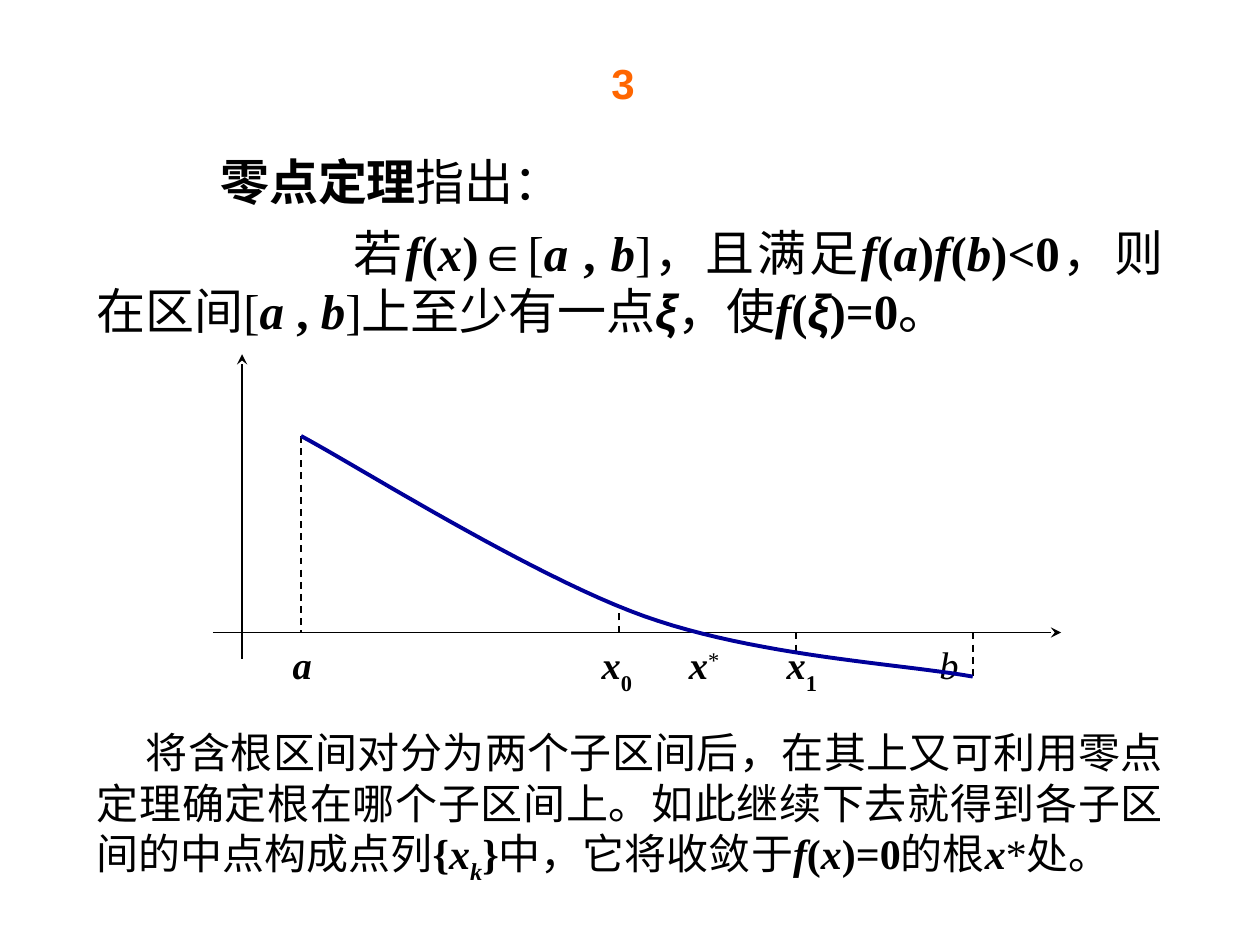
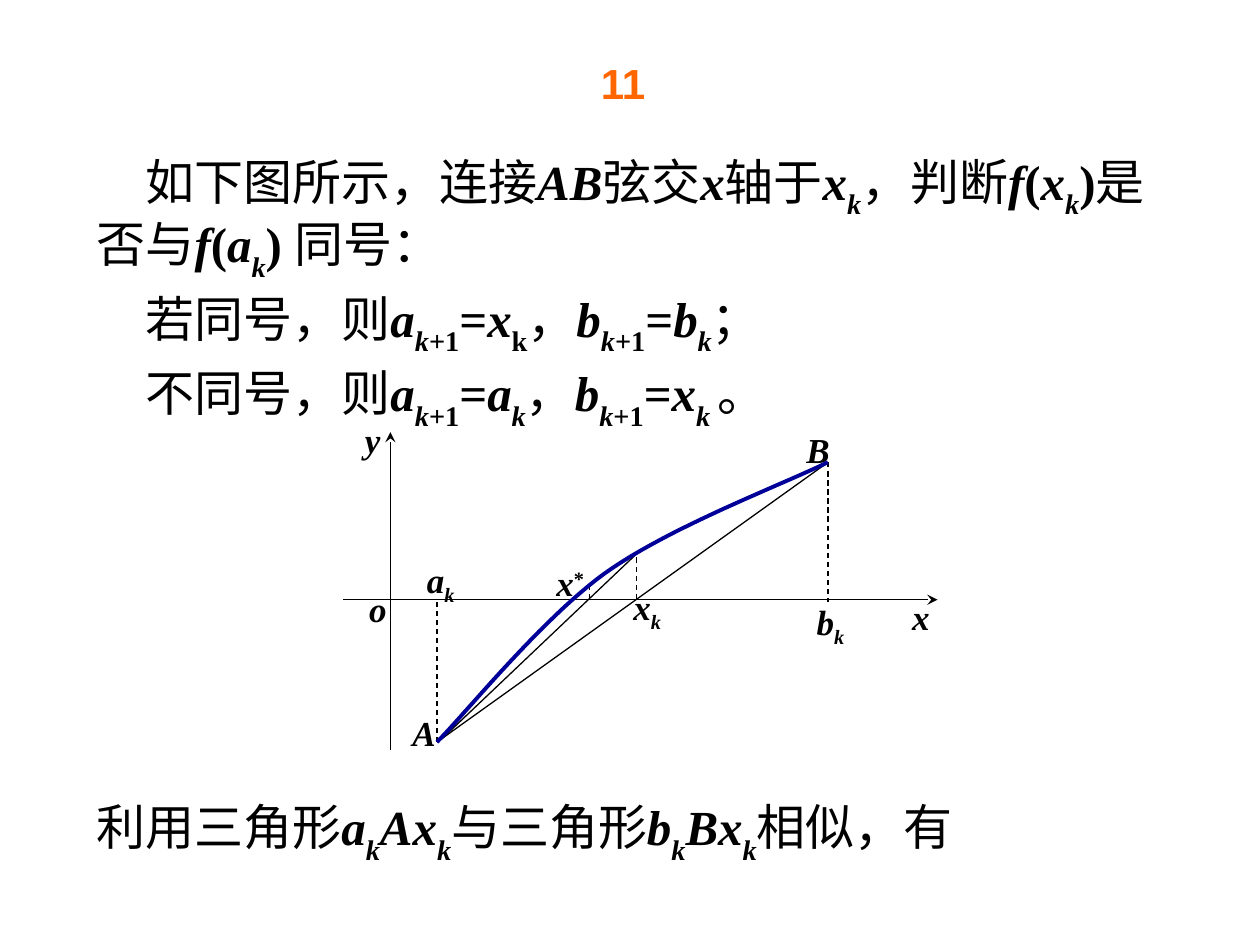
"""Build two slides on root finding: the bisection theorem and the chord method."""
from lxml.etree import SubElement
from pptx import Presentation
from pptx.dml.color import RGBColor
from pptx.enum.dml import MSO_LINE
from pptx.enum.shapes import MSO_CONNECTOR
from pptx.enum.text import PP_ALIGN
from pptx.oxml.ns import qn
from pptx.util import Cm, Pt

BLACK, ORANGE, NAVY = "000000", "FF6600", "000099"
BASELINES = {"_": "-30000", "-": "-25000", "^": "30000"}
CURVE_STEPS = 24


def add_text(slide, box, paragraphs, size, alignment=PP_ALIGN.LEFT, before=0,
             spacing=None, color=BLACK):
    """Add (indent, runs) paragraphs; run marks: b bold, i italic, A Arial, _ - ^ shifted."""
    frame = slide.shapes.add_textbox(*[Cm(value) for value in box]).text_frame
    frame.word_wrap = True
    for index, (indent, runs) in enumerate(paragraphs):
        paragraph = frame.add_paragraph() if index else frame.paragraphs[0]
        paragraph.alignment = alignment
        paragraph.space_before = Pt(before)
        paragraph.line_spacing = spacing
        paragraph._p.get_or_add_pPr().set("indent", str(Cm(indent)))
        for text, marks in runs:
            run = paragraph.add_run()
            run.text = text
            run.font.size = Pt(size)
            run.font.name = "Arial" if "A" in marks else "Times New Roman"
            run.font.bold = "b" in marks
            run.font.italic = "i" in marks
            run.font.color.rgb = RGBColor.from_string(color)
            for mark in set(marks) & set(BASELINES):
                run.font._element.set("baseline", BASELINES[mark])


def add_line(slide, ends, width, kind="solid"):
    """Add a straight black line that is solid, dashed or an arrow."""
    line = slide.shapes.add_connector(MSO_CONNECTOR.STRAIGHT, *[Cm(value) for value in ends])
    line.line.color.rgb = RGBColor.from_string(BLACK)
    line.line.width = Pt(width)
    if kind == "dash":
        line.line.dash_style = MSO_LINE.DASH
    if kind == "arrow":
        SubElement(line.line._get_or_add_ln(), qn("a:tailEnd"), type="stealth")
    SubElement(line._element.spPr, qn("a:effectLst"))


presentation = Presentation()
presentation.slide_width, presentation.slide_height = Cm(25.4), Cm(19.05)
theorem_slide, chord_slide = [
    presentation.slides.add_slide(presentation.slide_layouts[6]) for _ in range(2)]

for slide, number in ((theorem_slide, "3"), (chord_slide, "11")):
    add_text(slide, (11.66, 1.04, 1.8, 1.32), [(0, [(number, "bA")])], 24,
             PP_ALIGN.CENTER, color=ORANGE)

theorem = [
    (2.49, [("零点定理", "b"), ("指出：", "")]),
    (5.18, [("若", ""), ("f", "bi"), ("(", "b"), ("x", "bi"), (")", "b"), ("∈", "A"),
            ("[", ""), ("a ", "bi"), (", ", "b"), ("b", "bi"), ("]，且满足", ""),
            ("f", "bi"), ("(", "b"), ("a", "bi"), (")", "b"), ("f", "bi"), ("(", "b"),
            ("b", "bi"), (")<0", "b"), ("，则在区间[", ""), ("a ", "bi"), (", ", "b"),
            ("b", "bi"), ("]上至少有一点", ""), ("ξ", "biA"), ("，使", ""), ("f", "bi"),
            ("(", "b"), ("ξ", "biA"), (")=0", "b"), ("。", "")]),
]
add_text(theorem_slide, (1.7, 2.92, 22, 4.19), theorem, 28, PP_ALIGN.JUSTIFY, 7)

for ends, kind in (
        ((4.29, 12.75, 21.39, 12.75), "arrow"),
        ((4.88, 13.28, 4.88, 7.14), "arrow"),
        ((6.07, 8.79, 6.07, 12.75), "dash"),
        ((19.61, 12.75, 19.61, 13.64), "dash"),
        ((12.48, 12.75, 12.48, 12.19), "dash"),
        ((16.05, 12.75, 16.05, 13.18), "dash")):
    add_line(theorem_slide, ends, 1, kind)

for left, runs in (
        (5.65, [("a", "bi")]),
        (11.88, [("x", "bi"), ("0", "b_")]),
        (13.64, [("x", "bi"), ("*", "^")]),
        (15.61, [("x", "bi"), ("1", "b_")]),
        (18.69, [("b", "i")])):
    add_text(theorem_slide, (left, 12.8, 1.6, 1.2), [(0, runs)], 22)

bisection = [
    (0.99, [("将含根区间对分为两个子区间后，在其上又可利用零点定理确定根在哪个子区间上。"
             "如此继续下去就得到各子区间的中点构成点列", ""), ("{", "b"), ("x", "bi"),
            ("k", "bi-"), ("}", "b"), ("中，它将收敛于", ""), ("f", "bi"), ("(", "b"),
            ("x", "bi"), (")=0", "b"), ("的根", ""), ("x", "bi"), ("*处。", "")]),
]
add_text(theorem_slide, (1.7, 14.53, 22, 3.4), bisection, 24, PP_ALIGN.JUSTIFY, 15)

chord_rule = [
    (0.99, [("如下图所示，连接", ""), ("AB", "bi"), ("弦交", ""), ("x", "bi"), ("轴于", ""),
            ("x", "bi"), ("k", "bi_"), ("，判断", ""), ("f", "bi"), ("(", "b"), ("x", "bi"),
            ("k", "bi_"), (")", "b"), ("是否与", ""), ("f", "bi"), ("(", "b"), ("a", "bi"),
            ("k", "bi_"), (") ", "b"), ("同号：", "")]),
    (0.99, [("若同号，则", ""), ("a", "bi"), ("k", "bi_"), ("+1", "b_"), ("=", "b"),
            ("x", "bi"), ("k", "b_"), ("，", ""), ("b", "bi"), ("k", "bi_"), ("+1", "b_"),
            ("=", "b"), ("b", "bi"), ("k", "bi_"), ("；", "")]),
    (0.99, [("不同号，则", ""), ("a", "bi"), ("k", "bi_"), ("+1", "b_"), ("=", "b"),
            ("a", "bi"), ("k", "bi_"), ("，", ""), ("b", "bi"), ("k", "bi_"), ("+1", "b_"),
            ("=", "b"), ("x", "bi"), ("k ", "bi_"), ("。", "")]),
]
add_text(chord_slide, (1.7, 2.92, 22, 5.21), chord_rule, 28, before=7, spacing=0.9)

for box, runs in (
        ((7.11, 11.71, 1.02, 0.89), [("o", "bi")]),
        ((15.98, 11.99, 1.52, 1.12), [("b", "bi"), ("k", "bi-")]),
        ((8.1, 11.13, 1.57, 1.19), [("a", "bi"), ("k", "bi-")]),
        ((12.29, 11.68, 1.52, 1.02), [("x", "bi"), ("k", "bi-")]),
        ((10.9, 11.2, 1.19, 1.09), [("x", "bi"), ("*", "b^")]),
        ((7.9, 14.22, 1.3, 0.89), [("A", "bi")]),
        ((15.88, 8.51, 1.22, 0.89), [("B", "bi")]),
        ((6.93, 8.31, 1.17, 1.19), [("y", "bi")]),
        ((18.03, 11.89, 1.07, 1.22), [("x", "bi")])):
    add_text(chord_slide, box, [(0, runs)], 20, PP_ALIGN.CENTER)

for ends, kind in (
        ((6.91, 12.09, 18.9, 12.09), "arrow"),
        ((7.87, 15.11, 7.87, 8.71), "arrow"),
        ((8.81, 14.96, 16.69, 9.32), "solid"),
        ((12.9, 11.1, 8.89, 14.91), "solid"),
        ((8.81, 14.96, 8.81, 12.14), "dash"),
        ((16.69, 9.32, 16.69, 12.14), "dash"),
        ((12.83, 12.07, 12.83, 11.15), "dash"),
        ((11.89, 12.07, 11.89, 11.81), "dash")):
    add_line(chord_slide, ends, 0.75, kind)

similarity = [
    (0, [("利用三角形", ""), ("a", "bi"), ("k", "bi_"), ("Ax", "bi"), ("k", "bi_"),
         ("与三角形", ""), ("b", "bi"), ("k", "bi_"), ("Bx", "bi"), ("k", "bi_"),
         ("相似，有", "")]),
]
add_text(chord_slide, (1.7, 15.93, 22, 1.4), similarity, 28, before=7)

falling_curve = [(6.07, 8.79), (7.21, 9.4), (10.72, 11.61), (12.98, 12.42),
                 (15.24, 13.23), (18.21, 13.39), (19.61, 13.64)]
rising_curve = [(8.81, 14.96), (9.37, 14.4), (10.9, 12.5), (12.19, 11.56),
                (13.51, 10.62), (15.75, 9.78), (16.69, 9.32)]
for slide, controls in ((theorem_slide, falling_curve), (chord_slide, rising_curve)):
    points = []
    for first in (0, 3):
        for step in range(1, CURVE_STEPS + 1):
            t = step / CURVE_STEPS
            weights = ((1 - t) ** 3, 3 * t * (1 - t) ** 2, 3 * t ** 2 * (1 - t), t ** 3)
            segment = controls[first:first + 4]
            points.append(tuple(
                Cm(sum(weight * point[axis] for weight, point in zip(weights, segment)))
                for axis in (0, 1)))
    start_x, start_y = controls[0]
    builder = slide.shapes.build_freeform(Cm(start_x), Cm(start_y))
    builder.add_line_segments(points, close=False)
    curve = builder.convert_to_shape()
    curve.shadow.inherit = False
    curve.fill.background()
    curve.line.color.rgb = RGBColor.from_string(NAVY)
    curve.line.width = Pt(2.25)

presentation.save("out.pptx")
